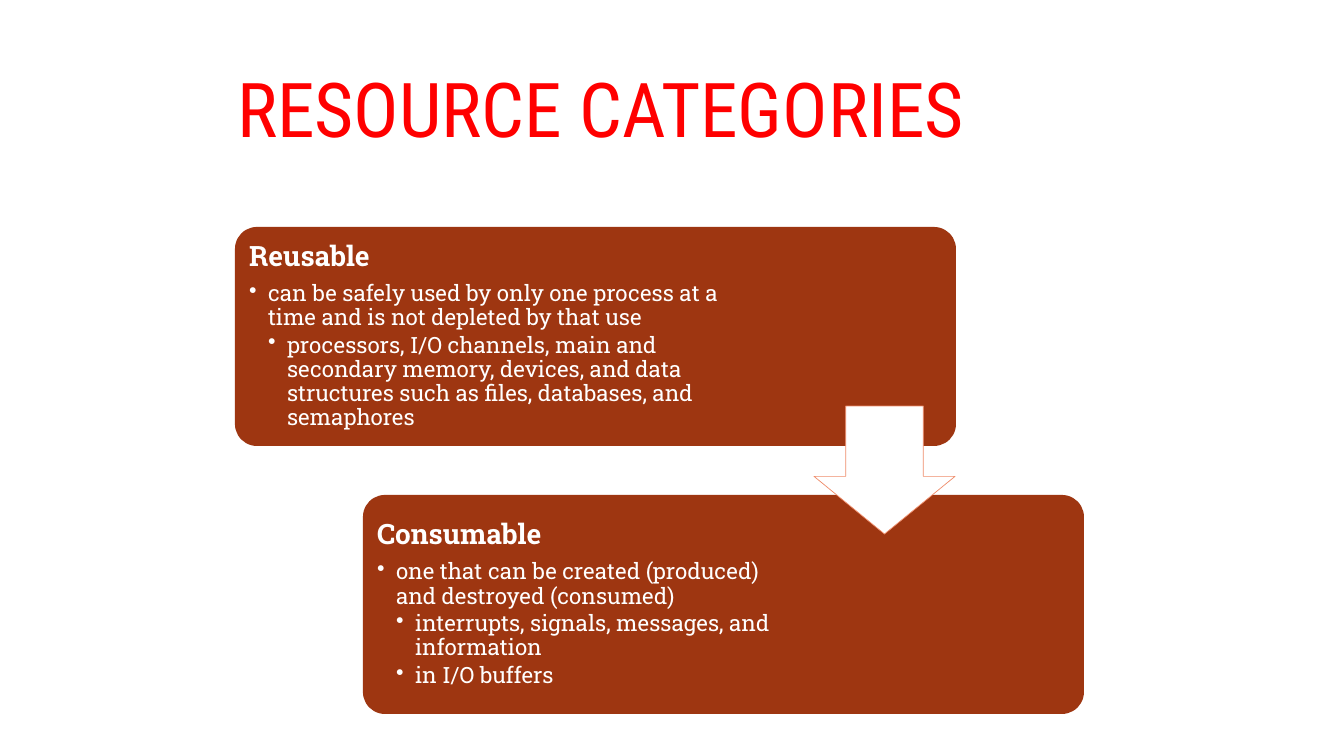
from lxml.etree import SubElement
from pptx import Presentation
from pptx.dml.color import RGBColor
from pptx.enum.shapes import MSO_SHAPE as Preset
from pptx.enum.text import MSO_ANCHOR as Anchor, MSO_AUTO_SIZE as AutoSize, PP_ALIGN as Align
from pptx.oxml.ns import qn
from pptx.util import Pt

# Content: (level, text) lines for each card
TITLE = "RESOURCE CATEGORIES"
CARDS = [
    {"text_width": 495, "lines": [
        (0, "Reusable"),
        (1, "can be safely used by only one process at a time and is not depleted by that use"),
        (2, "processors, I/O channels, main and secondary memory, devices, "
            "and data structures such as files, databases, and semaphores"),
    ]},
    {"text_width": 438, "lines": [
        (0, "Consumable"),
        (1, "one that can be created (produced) and destroyed (consumed)"),
        (2, "interrupts, signals, messages, and information"),
        (2, "in I/O buffers"),
    ]},
]

# Colours and formats
RED = RGBColor(0xFF, 0x00, 0x00)
RUST = RGBColor(0x9E, 0x36, 0x11)
SALMON = RGBColor(0xEF, 0x8C, 0x6A)
WHITE = RGBColor(0xFF, 0xFF, 0xFF)
TITLE_FONT = {"name": "Roboto Condensed", "size": Pt(54), "bold": False}
HEADING_FONT = {"name": "Roboto Slab", "size": Pt(20), "bold": True}
BODY_FONT = {"name": "Roboto Slab", "size": Pt(16), "bold": False}

# Geometry in px
SLIDE_SIZE = (1344, 756)
TITLE_BOX = (227, 50, 863, 126)
CARD_LEFT, CARD_TOP, CARD_WIDTH, CARD_HEIGHT = 235, 227, 721, 219
STEP_X, STEP_Y = 128, 268
CARD_PADDING = 6
TEXT_INSET = 8
INDENT = 19
ARROW_BOX = (814, 406, 141, 128)


def px(value):
    return round(value * 914400 / 100.8)


def set_values(target, values):
    for name, value in values.items():
        setattr(target, name, value)


def set_font(font, values, color):
    set_values(font, values)
    font.color.rgb = color


def add_preset(slide, preset, box, fill, adjustments):
    shape = slide.shapes.add_shape(preset, *map(px, box))
    shape.shadow.inherit = False
    shape.fill.solid()
    shape.fill.fore_color.rgb = fill
    shape.line.fill.background()
    for index, value in enumerate(adjustments):
        shape.adjustments[index] = value
    return shape


def add_bullet(paragraph, level):
    properties = paragraph._p.get_or_add_pPr()
    properties.set("marL", str(px(INDENT * level)))
    properties.set("indent", str(-px(INDENT)))
    SubElement(properties, qn("a:buChar"), char="•")


def add_card_text(slide, box, lines):
    frame = slide.shapes.add_textbox(*map(px, box)).text_frame
    set_values(frame, {"word_wrap": True, "vertical_anchor": Anchor.MIDDLE})
    set_values(frame, {f"margin_{side}": px(TEXT_INSET)
                       for side in ("left", "top", "right", "bottom")})
    for index, (level, text) in enumerate(lines):
        paragraph = frame.add_paragraph() if index else frame.paragraphs[0]
        set_values(paragraph, {"level": level, "line_spacing": 0.9,
                               "space_after": Pt(2.4 if level else 7)})
        if level:
            add_bullet(paragraph, level)
        run = paragraph.add_run()
        run.text = text
        set_font(run.font, BODY_FONT if level else HEADING_FONT, WHITE)


def main():
    presentation = Presentation()
    presentation.slide_width, presentation.slide_height = map(px, SLIDE_SIZE)
    slide = presentation.slides.add_slide(presentation.slide_layouts[5])

    # Title
    title = slide.shapes.title
    set_values(title, dict(zip(("left", "top", "width", "height"), map(px, TITLE_BOX))))
    frame = title.text_frame
    frame.text = TITLE
    set_values(frame, {"word_wrap": True, "auto_size": AutoSize.NONE,
                       "vertical_anchor": Anchor.MIDDLE})
    paragraph = frame.paragraphs[0]
    set_values(paragraph, {"alignment": Align.LEFT, "line_spacing": 0.9})
    set_font(paragraph.runs[0].font, TITLE_FONT, RED)

    # Staggered cards
    for index, card in enumerate(CARDS):
        left, top = CARD_LEFT + index * STEP_X, CARD_TOP + index * STEP_Y
        add_preset(slide, Preset.ROUNDED_RECTANGLE,
                   (left, top, CARD_WIDTH, CARD_HEIGHT), RUST, [0.1])
        text_box = (left + CARD_PADDING, top + CARD_PADDING,
                    card["text_width"], CARD_HEIGHT - 2 * CARD_PADDING)
        add_card_text(slide, text_box, card["lines"])

    # Arrow from the first card to the second
    arrow = add_preset(slide, Preset.DOWN_ARROW, ARROW_BOX, WHITE, [0.55, 0.45])
    arrow.line.color.rgb = SALMON
    arrow.line.width = Pt(0.5)

    presentation.save("out.pptx")


if __name__ == "__main__":
    main()
